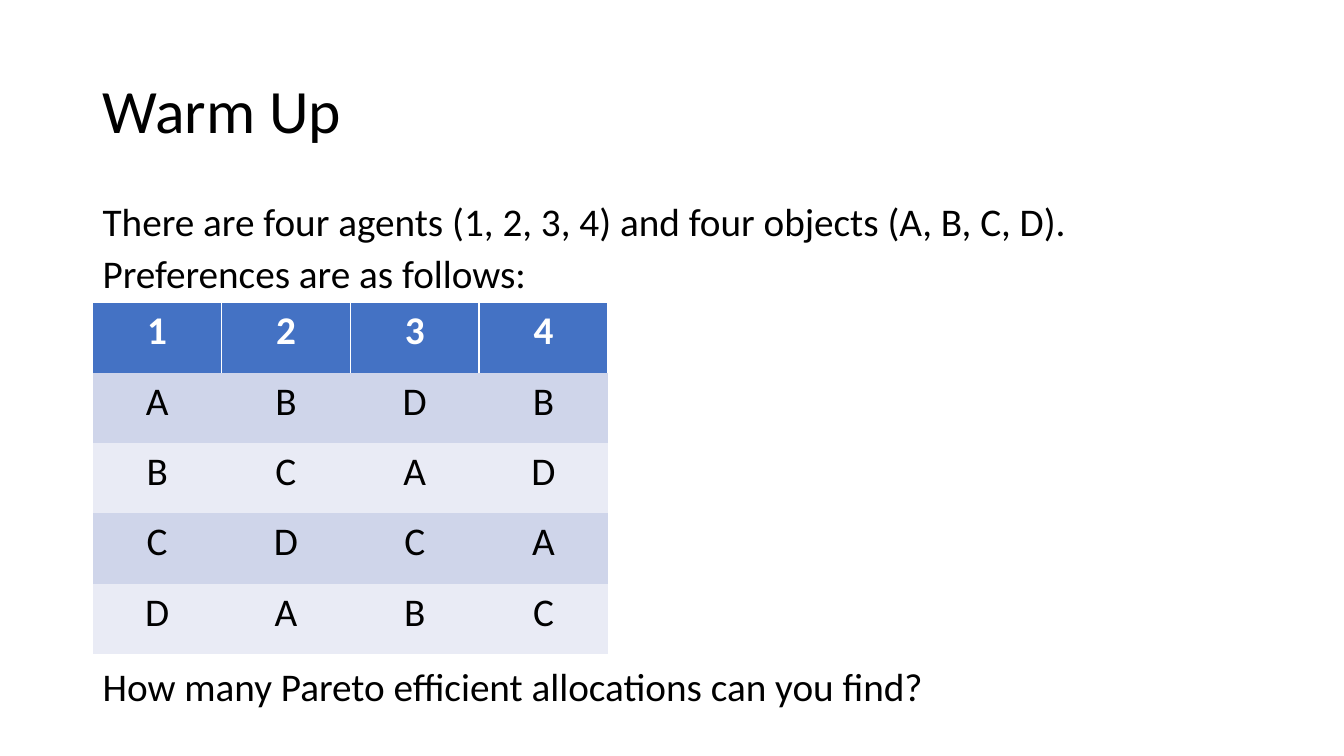
from lxml import etree
from pptx import Presentation
from pptx.dml.color import RGBColor
from pptx.enum.text import MSO_ANCHOR, PP_ALIGN
from pptx.oxml.ns import qn
from pptx.util import Inches, Pt

CENTER = PP_ALIGN.CENTER
TOP, MIDDLE = MSO_ANCHOR.TOP, MSO_ANCHOR.MIDDLE
BLACK = RGBColor(0x00, 0x00, 0x00)
WHITE = RGBColor(0xFF, 0xFF, 0xFF)
HEADER = RGBColor(0x44, 0x72, 0xC4)
BANDS = [RGBColor(0xE9, 0xEB, 0xF5), RGBColor(0xCF, 0xD5, 0xEA)]
NO_STYLE = "{2D5ABB26-0587-4C30-8999-92F81FD0307C}"
LEFT, WIDTH = 0.92, 11.5

prs = Presentation()
prs.slide_width, prs.slide_height = Inches(13.33), Inches(7.5)
s = prs.slides.add_slide(prs.slide_layouts[6])


def style(p, size, color, bold=False):
    for r in p.runs:
        r.font.name = "Calibri"
        r.font.size = Pt(size)
        r.font.bold = bold
        r.font.color.rgb = color


# Title, introduction and question
texts = [
    (0.4, 1.45, MIDDLE, 44, 0.9, ["Warm Up"]),
    (2, 1, TOP, 28, 0.8, ["There are four agents (1, 2, 3, 4) and four objects (A, B, C, D).",
                          "Preferences are as follows:"]),
    (6.61, 0.6, TOP, 28, 0.8, ["How many Pareto efficient allocations can you find?"]),
]
for top, height, anchor, size, spacing, lines in texts:
    sp = s.shapes.add_textbox(Inches(LEFT), Inches(top), Inches(WIDTH), Inches(height))
    tf = sp.text_frame
    tf.word_wrap = True
    tf.vertical_anchor = anchor
    tf.text = "\n".join(lines)
    for i, p in enumerate(tf.paragraphs):
        p.line_spacing = spacing
        p.space_before = Pt(10 if i else 0)
        style(p, size, BLACK)

# Preference table: one column per agent, best object first
preferences = ["1234", "ABDB", "BCAD", "CDCA", "DABC"]
table = s.shapes.add_table(5, 4, Inches(LEFT), Inches(3), Inches(5.11), Inches(3.49)).table
table._tbl.tblPr.find(qn("a:tableStyleId")).text = NO_STYLE
for row, letters in enumerate(preferences):
    for col, letter in enumerate(letters):
        cell = table.cell(row, col)
        if row == 0:
            # White rules around the header cells
            for side in ("a:lnL", "a:lnR", "a:lnT"):
                ln = etree.SubElement(cell._tc.get_or_add_tcPr(), qn(side), w=str(Pt(1)))
                fill = etree.SubElement(ln, qn("a:solidFill"))
                etree.SubElement(fill, qn("a:srgbClr"), val=str(WHITE))
        cell.fill.solid()
        cell.fill.fore_color.rgb = BANDS[row % 2] if row else HEADER
        p = cell.text_frame.paragraphs[0]
        p.text = letter
        p.alignment = CENTER
        style(p, 28, BLACK if row else WHITE, bold=row == 0)

prs.save("out.pptx")
